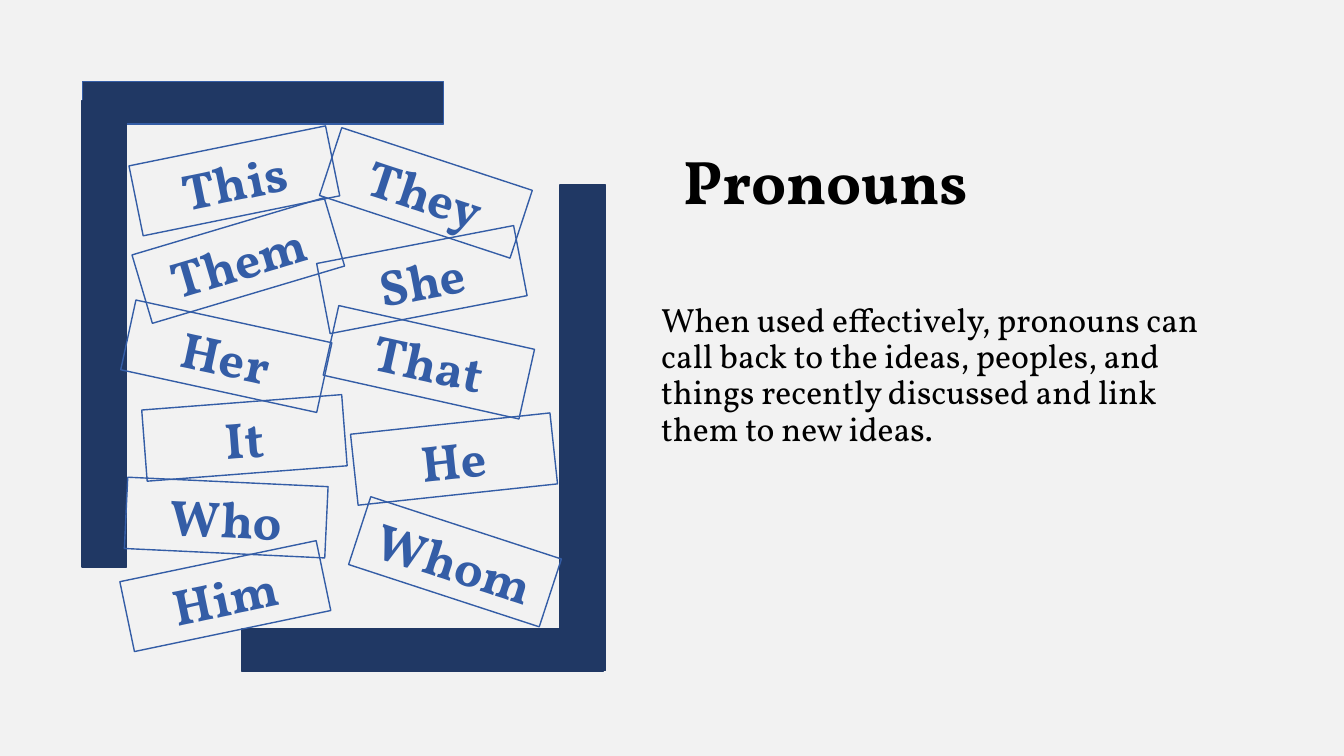
"""Build the Pronouns slide: scattered word cards in a frame beside a short explanation."""
import pptx
import pptx.dml.color
import pptx.enum.shapes
import pptx.enum.text
import pptx.util

Pt = pptx.util.Pt
NAVY, BLUE, BLACK, PALE = "203864", "345DA6", "000000", "F2F2F2"
RECTANGLE = pptx.enum.shapes.MSO_SHAPE.RECTANGLE
ANCHOR = pptx.enum.text.MSO_ANCHOR
ALIGN = pptx.enum.text.PP_ALIGN
AUTO_SIZE = pptx.enum.text.MSO_AUTO_SIZE


def color(value):
    """Turn a hex string into a colour."""
    return pptx.dml.color.RGBColor.from_string(value)


def write_text(shape, text, *, size, ink=BLACK, bold=False, anchor=ANCHOR.MIDDLE,
               align=ALIGN.LEFT, line_spacing=0.9, auto_size=AUTO_SIZE.NONE):
    """Put one formatted paragraph into a shape."""
    frame = shape.text_frame
    frame.word_wrap = True
    frame.auto_size = auto_size
    frame.vertical_anchor = anchor
    paragraph = frame.paragraphs[0]
    paragraph.alignment = align
    paragraph.line_spacing = line_spacing
    run = paragraph.add_run()
    run.text = text
    run.font.name = "Vollkorn"
    run.font.size = Pt(size)
    run.font.bold = bold
    run.font.color.rgb = color(ink)


presentation = pptx.Presentation()
presentation.slide_width = Pt(960)
presentation.slide_height = Pt(540)
slide = presentation.slides.add_slide(presentation.slide_layouts[6])
slide.background.fill.solid()
slide.background.fill.fore_color.rgb = color(PALE)

title = slide.shapes.add_textbox(Pt(481), Pt(71.3), Pt(413.3), Pt(121))
write_text(title, "Pronouns", size=44, bold=True)

body = slide.shapes.add_textbox(Pt(465.1), Pt(213.1), Pt(424.1), Pt(272.9))
write_text(body, "When used effectively, pronouns can call back to the ideas, peoples, "
           "and things recently discussed and link them to new ideas.",
           size=24, anchor=ANCHOR.TOP)

frame_bars = [
    (59, 58.3, 257.8, 30.2, BLUE),
    (172.8, 449.3, 257.8, 30.2, NAVY),
    (58.7, 71.6, 31.7, 333.4, NAVY),
    (400, 132.1, 32.4, 347, NAVY),
]
for left, top, width, height, outline in frame_bars:
    bar = slide.shapes.add_shape(RECTANGLE, Pt(left), Pt(top), Pt(width), Pt(height))
    bar.shadow.inherit = False
    bar.fill.solid()
    bar.fill.fore_color.rgb = color(NAVY)
    bar.line.color.rgb = color(outline)
    bar.line.width = Pt(1)

word_cards = [
    ("This", 95.8, 103.7, -11.5),
    ("They", 232.6, 112.3, 18.2),
    ("Them", 98.6, 160.6, -16.6),
    ("She", 229.7, 174.2, -10.9),
    ("Her", 90, 229, 12.3),
    ("That", 234.7, 233.3, 12.6),
    ("It", 103, 287.3, -4.4),
    ("He", 252.7, 302.4, -6.1),
    ("Him", 89.3, 400.3, -11.8),
    ("Who", 90, 344.2, 2.7),
    ("Whom", 253.4, 375.8, 18.1),
]
for word, left, top, angle in word_cards:
    card = slide.shapes.add_shape(RECTANGLE, Pt(left), Pt(top), Pt(143.3), Pt(51))
    card.shadow.inherit = False
    card.rotation = angle
    card.fill.background()
    card.line.color.rgb = color(BLUE)
    card.line.width = Pt(1)
    write_text(card, word, size=36, ink=BLUE, bold=True, align=ALIGN.CENTER,
               line_spacing=1.0, auto_size=AUTO_SIZE.SHAPE_TO_FIT_TEXT)

presentation.save("out.pptx")
